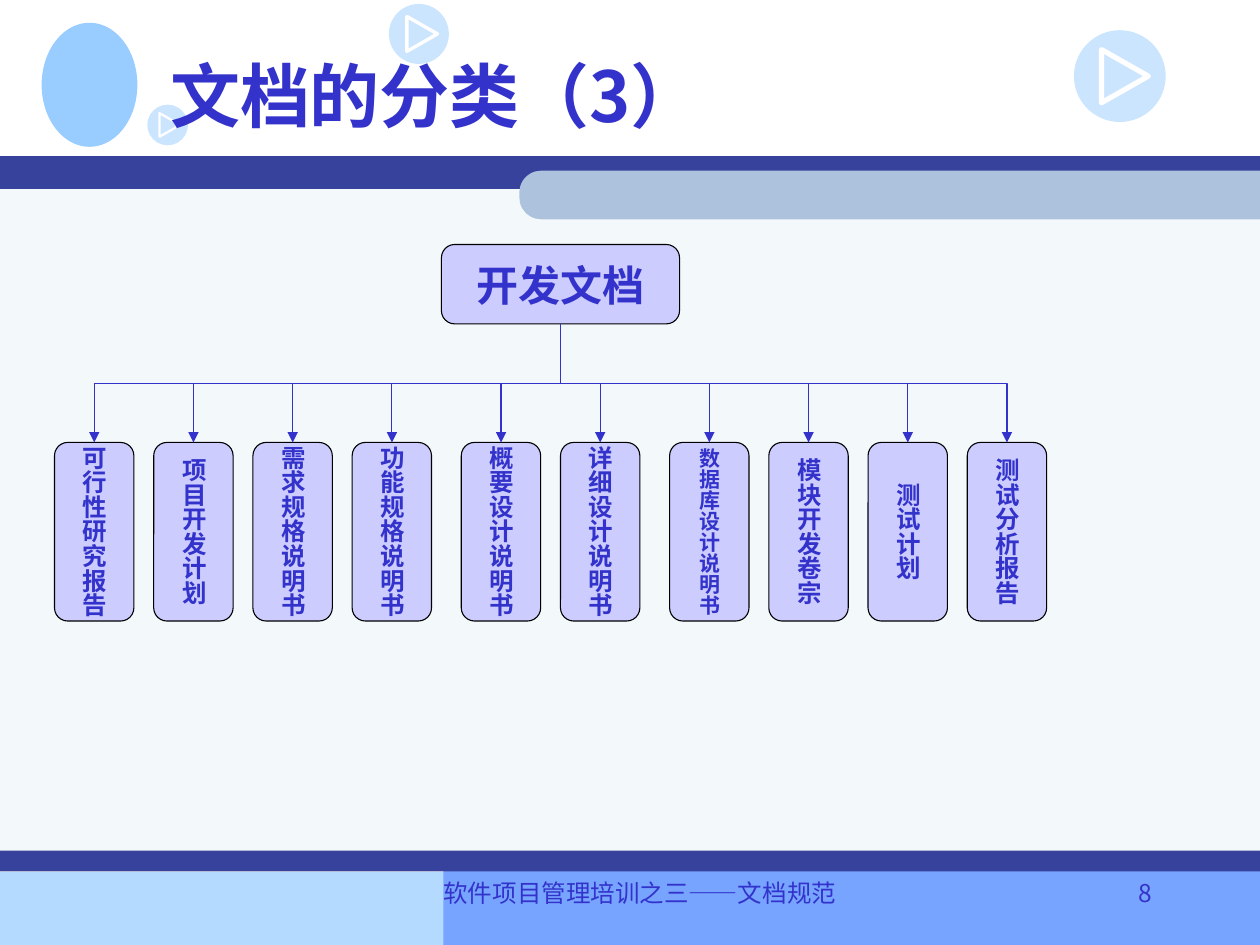
from dataclasses import dataclass

from pptx import Presentation
from pptx.dml.color import RGBColor
from pptx.enum.shapes import MSO_CONNECTOR as Connector, MSO_SHAPE as Preset
from pptx.enum.text import MSO_ANCHOR as Anchor, PP_ALIGN as Align
from pptx.oxml.ns import qn
from pptx.util import Cm, Pt
from lxml.etree import SubElement

COLOURS = {
    "ink": "3333CC", "navy": "36429B", "pale": "F3F8FB", "steel": "ADC3DD",
    "footer_light": "B5DAFF", "footer_blue": "77A4FF", "sky": "99CCFF",
    "lavender": "CCCCFF", "black": "000000", "white": "FFFFFF",
}
BODY_FONT = "Noto Sans CJK SC"
FOOTER_FONT = "Noto Sans CJK KR"
LINE_WIDTH = Pt(0.62)


@dataclass(frozen=True)
class Box:
    left: float
    top: float
    width: float
    height: float

    @property
    def centre(self) -> float:
        return self.left + self.width / 2

    @property
    def bottom(self) -> float:
        return self.top + self.height

    def lengths(self) -> list:
        return [Cm(value) for value in (self.left, self.top, self.width, self.height)]


@dataclass(frozen=True)
class Badge:
    left: float
    top: float
    size: float


@dataclass(frozen=True)
class Band:
    box: Box
    colour: str


BANDS = [
    Band(Box(0, 17.58, 10.8, 1.47), "footer_light"),
    Band(Box(8.94, 17.55, 16.46, 1.5), "footer_blue"),
    Band(Box(0, 3.56, 25.4, 13.99), "pale"),
    Band(Box(0, 3.15, 25.4, 0.66), "navy"),
    Band(Box(0, 17.15, 25.4, 0.42), "navy"),
]
BADGES = [Badge(7.84, 0.08, 1.21), Badge(21.65, 0.61, 1.85), Badge(2.97, 2.11, 0.82)]
ROOT = Box(8.9, 4.93, 4.8, 1.6)
GROUPS = [
    ["可行性研究报告", "项目开发计划", "需求规格说明书", "功能规格说明书"],
    ["概要设计说明书", "详细设计说明书"],
    ["数据库设计说明书", "模块开发卷宗", "测试计划", "测试分析报告"],
]
LEAF = Box(1.1, 8.92, 1.6, 3.6)
LEAF_PITCH = 2
GROUP_GAP = 0.2
BUS_TOP = (ROOT.bottom + LEAF.top) / 2


def colour(name: str) -> RGBColor:
    return RGBColor.from_string(COLOURS[name])


def add_preset(slide, preset, box: Box, fill: str, line: str = ""):
    shape = slide.shapes.add_shape(preset, *box.lengths())
    shape.shadow.inherit = False
    shape.fill.solid()
    shape.fill.fore_color.rgb = colour(fill)
    if line:
        shape.line.color.rgb = colour(line)
        shape.line.width = LINE_WIDTH
    else:
        shape.line.fill.background()
    return shape


def write_text(shape, text: str, *, size: float, font: str = BODY_FONT,
               bold: bool = False, align=Align.LEFT, anchor=Anchor.TOP,
               wrap: bool = True, vertical: bool = False) -> None:
    frame = shape.text_frame
    frame.word_wrap = wrap
    frame.vertical_anchor = anchor
    across, down = (0.13, 0) if vertical else (0.25, 0.13)
    frame.margin_left = frame.margin_right = Cm(across)
    frame.margin_top = frame.margin_bottom = Cm(down)
    if vertical:
        body = frame._txBody.bodyPr
        body.set("vert", "eaVert")
        body.set("anchorCtr", "1")
    paragraph = frame.paragraphs[0]
    paragraph.alignment = align
    run = paragraph.add_run()
    run.text = text
    run.font.size = Pt(size)
    run.font.bold = bold
    run.font.name = font
    run.font.color.rgb = colour("ink")
    SubElement(run._r.get_or_add_rPr(), qn("a:ea")).set("typeface", font)


def add_text(slide, box: Box, text: str, **text_format) -> None:
    write_text(slide.shapes.add_textbox(*box.lengths()), text, **text_format)


def add_badge(slide, badge: Badge) -> None:
    disc = add_preset(slide, Preset.OVAL, Box(badge.left, badge.top, badge.size, badge.size), "sky")
    fill = disc._element.spPr.find(qn("a:solidFill"))
    SubElement(fill[0], qn("a:alpha")).set("val", "50000")
    corners = [
        (Cm(badge.left + badge.size * across), Cm(badge.top + badge.size * down))
        for across, down in ((0.3, 0.21), (0.81, 0.5), (0.3, 0.79))
    ]
    builder = slide.shapes.build_freeform(*corners[0])
    builder.add_line_segments(corners[1:], close=True)
    triangle = builder.convert_to_shape()
    triangle.shadow.inherit = False
    triangle.fill.background()
    triangle.line.color.rgb = colour("white")
    triangle.line.width = Pt(1.6 * badge.size)
    SubElement(triangle.line._get_or_add_ln(), qn("a:round"))


def add_arrow(slide, kind, start: tuple, end: tuple):
    connector = slide.shapes.add_connector(kind, *[Cm(value) for value in start + end])
    connector.line.color.rgb = colour("ink")
    connector.line.width = LINE_WIDTH
    SubElement(connector.line._get_or_add_ln(), qn("a:tailEnd")).set("type", "triangle")
    SubElement(connector._element.spPr, qn("a:effectLst"))
    return connector


def add_elbow(slide, start: tuple, end: tuple) -> None:
    middle_x, middle_y = (start[0] + end[0]) / 2, (start[1] + end[1]) / 2
    half_drop, half_span = (end[1] - start[1]) / 2, abs(end[0] - start[0]) / 2
    side = 1 if end[0] > start[0] else -1
    connector = add_arrow(
        slide, Connector.ELBOW,
        (middle_x + side * half_drop, middle_y - half_span),
        (middle_x - side * half_drop, middle_y + half_span),
    )
    turn = 270 if side > 0 else 90
    connector._element.spPr.find(qn("a:xfrm")).set("rot", str(turn * 60000))


def add_background(slide) -> None:
    for band in BANDS:
        add_preset(slide, Preset.RECTANGLE, band.box, band.colour)
    tab = add_preset(slide, Preset.ROUND_2_SAME_RECTANGLE, Box(17.45, -3.54, 0.98, 14.94), "steel")
    tab.adjustments[0] = 0.45
    tab.rotation = 270
    add_preset(slide, Preset.OVAL, Box(0.84, 0.46, 1.93, 2.5), "sky")
    for badge in BADGES:
        add_badge(slide, badge)


def add_tree(slide) -> None:
    root = add_preset(slide, Preset.FLOWCHART_ALTERNATE_PROCESS, ROOT, "lavender", "black")
    write_text(root, "开发文档", size=24, bold=True, align=Align.CENTER,
               anchor=Anchor.MIDDLE, wrap=False)
    leaves = [(group, name) for group, names in enumerate(GROUPS) for name in names]
    for index, (group, name) in enumerate(leaves):
        box = Box(LEAF.left + index * LEAF_PITCH + group * GROUP_GAP,
                  LEAF.top, LEAF.width, LEAF.height)
        leaf = add_preset(slide, Preset.FLOWCHART_ALTERNATE_PROCESS, box, "lavender", "black")
        write_text(leaf, name, size=12 if len(name) > 7 else 14, bold=True,
                   align=Align.CENTER, anchor=Anchor.MIDDLE, wrap=False, vertical=True)
        end = (box.centre, box.top)
        if index in (0, len(leaves) - 1):
            add_elbow(slide, (ROOT.centre, ROOT.bottom), end)
        else:
            add_arrow(slide, Connector.STRAIGHT, (box.centre, BUS_TOP), end)


def main() -> None:
    presentation = Presentation()
    presentation.slide_width = Cm(25.4)
    presentation.slide_height = Cm(19.05)
    slide = presentation.slides.add_slide(presentation.slide_layouts[6])
    add_background(slide)
    add_text(slide, Box(3.18, 0.43, 21.59, 2.97), "文档的分类（3）",
             size=40, bold=True, anchor=Anchor.MIDDLE)
    add_tree(slide)
    add_text(slide, Box(8.69, 17.58, 12.83, 1.27), "软件项目管理培训之三——文档规范",
             size=14, font=FOOTER_FONT)
    add_text(slide, Box(21.49, 17.58, 1.98, 1.27), "8",
             size=14, font=FOOTER_FONT, align=Align.RIGHT)
    presentation.save("out.pptx")


if __name__ == "__main__":
    main()
